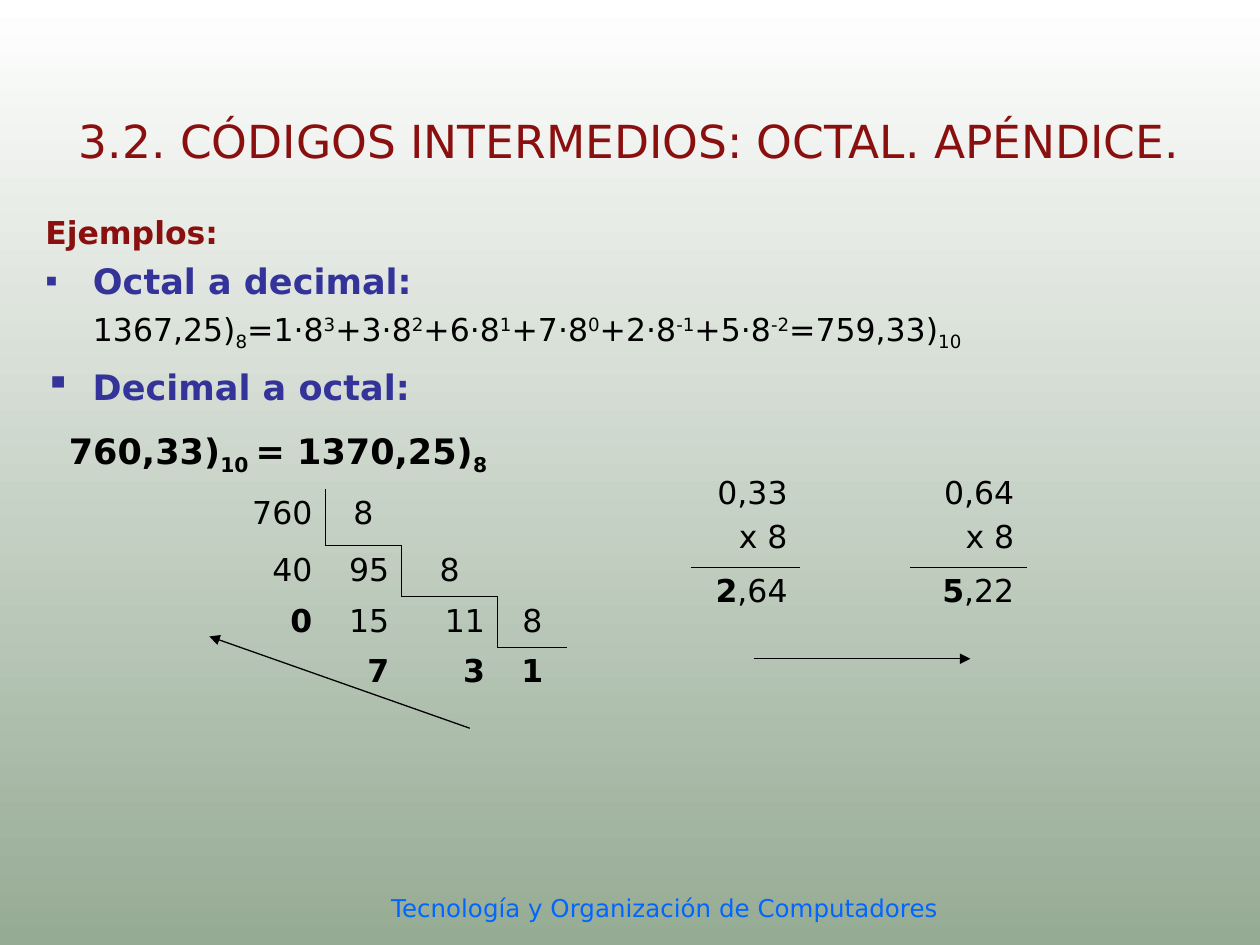
from collections import namedtuple
from dataclasses import dataclass

from lxml import etree
from pptx import Presentation
from pptx.dml.color import RGBColor
from pptx.enum.dml import MSO_FILL
from pptx.enum.shapes import MSO_CONNECTOR
from pptx.enum.text import MSO_ANCHOR, MSO_AUTO_SIZE, PP_ALIGN
from pptx.oxml.ns import qn
from pptx.util import Cm, Pt

LEFT, CENTER, RIGHT, JUSTIFY = PP_ALIGN.LEFT, PP_ALIGN.CENTER, PP_ALIGN.RIGHT, PP_ALIGN.JUSTIFY
MIDDLE = MSO_ANCHOR.MIDDLE
STRAIGHT = MSO_CONNECTOR.STRAIGHT
GRADIENT = MSO_FILL.GRADIENT
SUB, SUPER = -25, 30

# A stretch of text with its own look; a None field keeps the paragraph's style
Part = namedtuple("Part", "text bold base font", defaults=(None, None, None))


@dataclass(frozen=True)
class Theme:
    font: str = "DejaVu Sans"
    symbol_font: str = "Arial"
    ink: str = "000000"
    heading: str = "8A1010"
    topic: str = "333399"
    footer: str = "0066FF"
    sky: str = "FFFFFF"
    ground: str = "96AB94"
    title_size: float = 26
    topic_size: float = 20
    text_size: float = 18
    footer_size: float = 14
    indent: float = 0.96
    rule: float = 0.45
    arrow: float = 0.75


def rgb(color):
    return RGBColor.from_string(color)


class SlideBuilder:
    def __init__(self, slide, theme):
        self.slide, self.theme = slide, theme

    def background(self):
        fill = self.slide.background.fill
        if fill.type != GRADIENT:
            fill.gradient()
        fill.gradient_angle = 270
        for stop, color in zip(fill.gradient_stops, (self.theme.sky, self.theme.ground)):
            stop.color.rgb = rgb(color)
        for stop, position in zip(fill.gradient_stops, (0, 1)):
            stop.position = position

    def paragraph(self, paragraph, parts, size=None, color=None, bold=False,
                  align=LEFT, before=4.5):
        paragraph.alignment = align
        paragraph.space_before = Pt(before)
        for part in parts:
            run = paragraph.add_run()
            run.text = part.text
            font = run.font
            font.name = part.font or self.theme.font
            font.size = Pt(size or self.theme.text_size)
            font.bold = bold if part.bold is None else part.bold
            font.color.rgb = rgb(color or self.theme.ink)
            if part.base:
                font._element.set("baseline", str(part.base * 1000))

    def indent(self, paragraph, left, bullet=False):
        """Indent a paragraph; a bullet hangs in the indent."""
        props = paragraph._p.get_or_add_pPr()
        props.set("marL", str(Cm(left)))
        props.set("indent", str(-Cm(left) if bullet else 0))
        if bullet:
            bullet_color = etree.SubElement(props, qn("a:buClr"))
            etree.SubElement(bullet_color, qn("a:srgbClr"), val=self.theme.topic)
            etree.SubElement(props, qn("a:buChar"), char="▪")
        else:
            etree.SubElement(props, qn("a:buNone"))

    def place(self, shape, left, top, width, height):
        shape.left, shape.top, shape.width, shape.height = map(Cm, (left, top, width, height))
        shape.text_frame.word_wrap = True
        shape.text_frame.auto_size = MSO_AUTO_SIZE.NONE
        return shape.text_frame

    def title(self, text, *box):
        frame = self.place(self.slide.shapes.title, *box)
        frame.vertical_anchor = MIDDLE
        self.paragraph(frame.paragraphs[0], [Part(text)], self.theme.title_size,
                       self.theme.heading, align=CENTER, before=0)

    def body(self, *box):
        return self.place(self.slide.placeholders[1], *box)

    def text_box(self, *box):
        return self.place(self.slide.shapes.add_textbox(*map(Cm, box)), *box)

    def table(self, left, top, widths, heights, cells, centered=(), left_rules=(), bottom_rules=()):
        """cells maps (row, column) to a list of paragraphs, each a list of parts."""
        frame = self.slide.shapes.add_table(len(heights), len(widths), Cm(left), Cm(top),
                                            Cm(sum(widths)), Cm(sum(heights)))
        table = frame.table
        table.first_row = table.horz_banding = False
        for column, width in zip(table.columns, widths):
            column.width = Cm(width)
        for row, height in zip(table.rows, heights):
            row.height = Cm(height)
        for r in range(len(heights)):
            for c in range(len(widths)):
                cell = table.cell(r, c)
                cell.fill.background()
                self.borders(cell, {"L": (r, c) in left_rules, "R": (r, c + 1) in left_rules,
                                    "T": (r - 1, c) in bottom_rules, "B": (r, c) in bottom_rules})
                align = CENTER if (r, c) in centered else RIGHT
                for i, parts in enumerate(cells.get((r, c), [])):
                    text = cell.text_frame
                    paragraph = text.add_paragraph() if i else text.paragraphs[0]
                    self.paragraph(paragraph, parts, align=align)

    def borders(self, cell, sides):
        props = cell._tc.get_or_add_tcPr()
        for i, (side, drawn) in enumerate(sides.items()):
            line = etree.Element(qn(f"a:ln{side}"), w=str(Pt(self.theme.rule)))
            fill = etree.SubElement(line, qn("a:solidFill" if drawn else "a:noFill"))
            if drawn:
                etree.SubElement(fill, qn("a:srgbClr"), val=self.theme.ink)
            props.insert(i, line)

    def arrow(self, *ends):
        arrow = self.slide.shapes.add_connector(STRAIGHT, *map(Cm, ends))
        arrow.line.color.rgb = rgb(self.theme.ink)
        arrow.line.width = Pt(self.theme.arrow)
        etree.SubElement(arrow.line._get_or_add_ln(), qn("a:tailEnd"), type="triangle")
        etree.SubElement(arrow._element.spPr, qn("a:effectLst"))


def octal_expansion(theme):
    """1367,25 in base 8 as a sum of powers of eight."""
    parts = [Part("1367,25)"), Part("8", base=SUB)]
    for i, digit in enumerate("136725"):
        parts += [Part(("+" if i else "=") + digit), Part("⋅", font=theme.symbol_font),
                  Part("8"), Part(str(3 - i), base=SUPER)]
    return parts + [Part("=759,33)"), Part("10", base=SUB)]


def main():
    theme = Theme()
    deck = Presentation()
    deck.slide_width, deck.slide_height = Cm(25.4), Cm(19.05)
    page = SlideBuilder(deck.slides.add_slide(deck.slide_layouts[1]), theme)
    page.background()
    topic = dict(size=theme.topic_size, color=theme.topic, bold=True)

    # Title and footer
    page.title("3.2. CÓDIGOS INTERMEDIOS: OCTAL. APÉNDICE.", 0, 1.73, 25.4, 2.18)
    footer = page.text_box(5.36, 17.88, 16.08, 1.17)
    page.paragraph(footer.paragraphs[0], [Part("Tecnología y Organización de Computadores")],
                   theme.footer_size, theme.footer, align=CENTER, before=8.8)

    # Octal to decimal
    examples = page.body(0.66, 4.17, 21.72, 12.78)
    heading, to_decimal, expansion = (examples.paragraphs[0], examples.add_paragraph(),
                                      examples.add_paragraph())
    page.paragraph(heading, [Part("Ejemplos:")], color=theme.heading, bold=True, align=JUSTIFY)
    page.indent(heading, 0)
    page.paragraph(to_decimal, [Part("Octal a decimal:")], align=JUSTIFY, before=5, **topic)
    page.indent(to_decimal, theme.indent, bullet=True)
    page.paragraph(expansion, octal_expansion(theme), align=JUSTIFY)
    page.indent(expansion, theme.indent)

    # Decimal to octal
    conversion = page.text_box(0.66, 7.24, 14.83, 2.51)
    to_octal, result = conversion.paragraphs[0], conversion.add_paragraph()
    page.paragraph(to_octal, [Part("Decimal a octal:")], before=12.5, **topic)
    page.indent(to_octal, theme.indent, bullet=True)
    page.paragraph(result, [Part("760,33)"), Part("10 ", base=SUB), Part("= 1370,25)"),
                            Part("8", base=SUB)], theme.topic_size, bold=True, before=12.5)
    page.indent(result, theme.indent / 2)

    # Repeated division by eight: divisors step down the diagonal
    division = [["760", "8"], ["40", "95", "8"], ["0", "15", "11", "8"], ["", "7", "3", "1"]]
    digits = {(2, 0), (3, 1), (3, 2), (3, 3)}
    steps = {(row, row + 1) for row in range(3)}
    cells = {(r, c): [[Part(text, bold=(r, c) in digits)]]
             for r, row in enumerate(division) for c, text in enumerate(row) if text}
    page.table(3.02, 9.86, [3.53, 1.55, 1.93, 1.4], [1.14, 1.02, 1.02, 1.02], cells,
               centered=steps | {(3, 3)}, left_rules=steps, bottom_rules=steps)

    # Repeated multiplication of the fraction by eight
    products = {0: ("0,33", "2", ",64"), 2: ("0,64", "5", ",22")}
    cells = {}
    for column, (factor, digit, fraction) in products.items():
        cells[0, column] = [[Part(factor)], [Part("x 8")]]
        cells[1, column] = [[Part(digit, bold=True), Part(fraction)]]
    page.table(13.92, 9.45, [2.21, 2.21, 2.36], [1.98, 1.22], cells,
               bottom_rules={(0, column) for column in products})

    # Reading direction of the digits
    page.arrow(9.47, 14.68, 4.22, 12.83)
    page.arrow(15.19, 13.28, 19.56, 13.28)

    deck.save("out.pptx")


if __name__ == "__main__":
    main()
